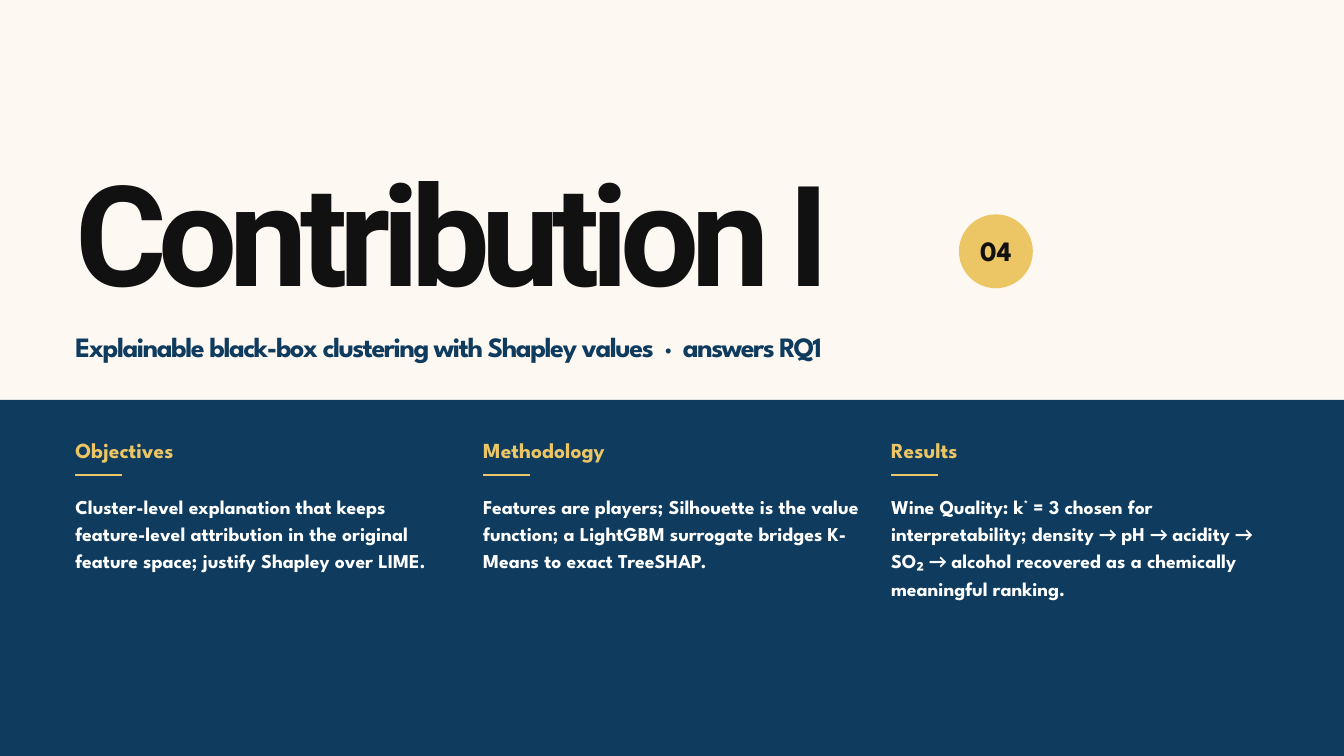
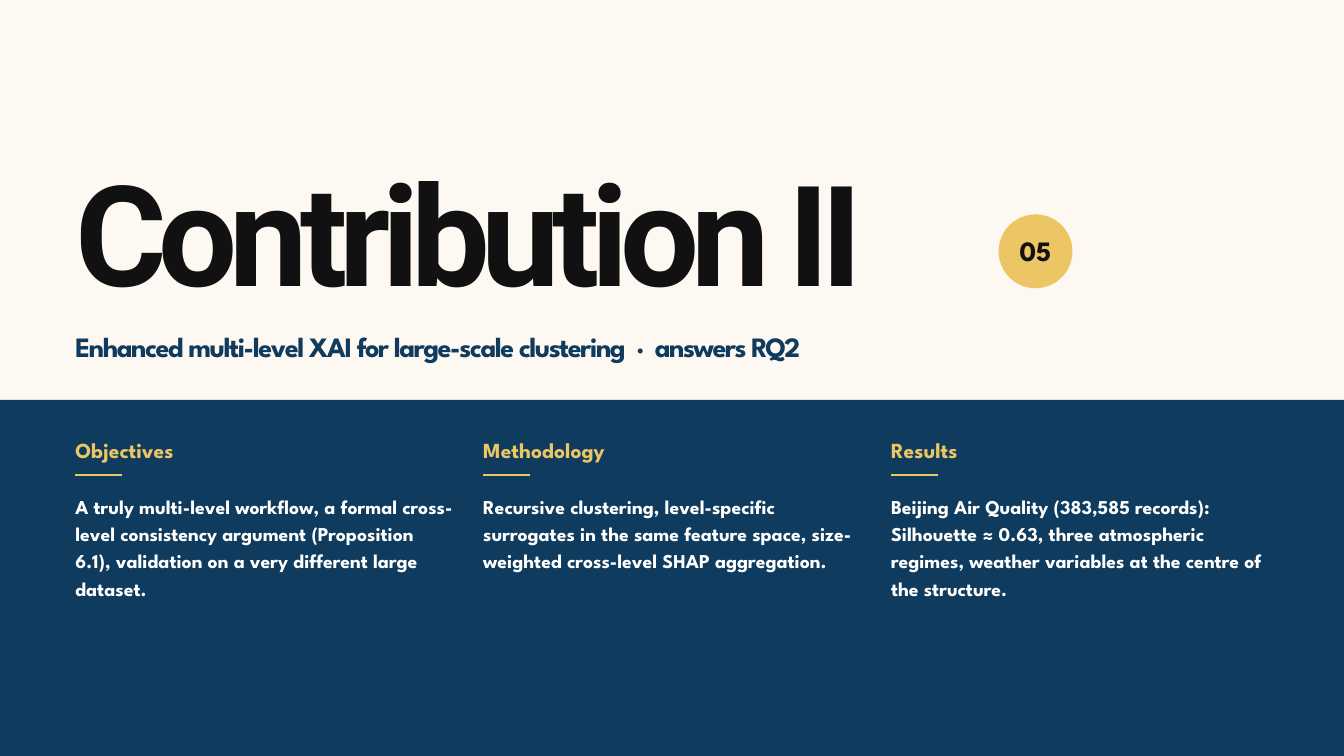
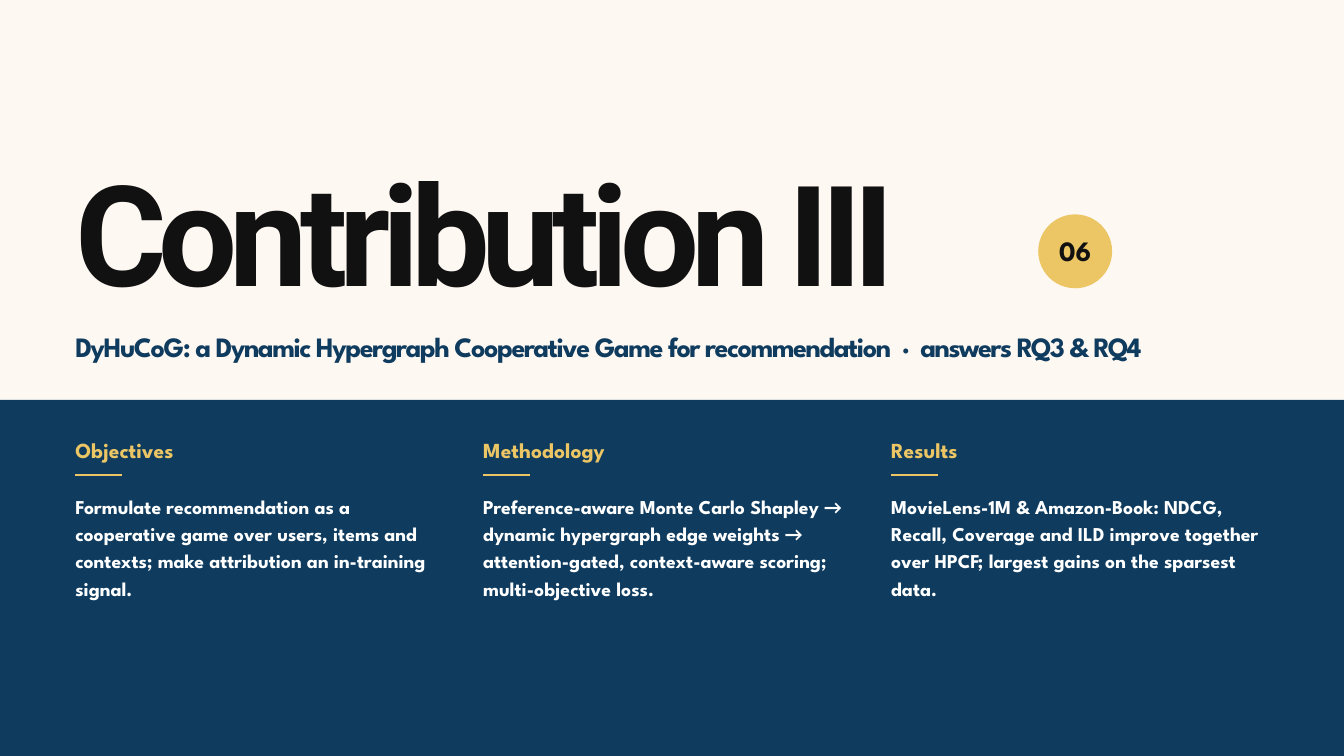
from dataclasses import dataclass

from lxml import etree
from pptx import Presentation
from pptx import util as u
from pptx.dml.color import RGBColor
from pptx.enum import shapes, text
from pptx.oxml import ns

WIDE, HIGH = u.Inches(20), u.Inches(11.25)
COLS, ROWS = 100, 90
LEFT, STEP, SPAN = 5.6, 30.35, 28.1
BAND = 47.6
HUES = {"cream": "FEF8F3", "ink": "111111", "navy": "0E3B5E", "gold": "ECC665", "white": "FFFFFF"}
HEADS = ("Objectives", "Methodology", "Results")


@dataclass(frozen=True)
class Style:
    size: float
    lead: float
    hue: str
    face: str = "League Spartan"
    track: float = 0
    align: text.PP_ALIGN = text.PP_ALIGN.LEFT


@dataclass(frozen=True)
class Bit:
    words: str
    face: str = ""
    lift: int = 0


@dataclass(frozen=True)
class Box:
    col: float
    row: float
    wide: float
    high: float

    def place(self) -> tuple[int, int, int, int]:
        return across(self.col), down(self.row), across(self.wide), down(self.high)


@dataclass(frozen=True)
class Part:
    title: str
    number: str
    topic: str
    bodies: tuple[tuple[Bit, ...], ...]


TITLE = Style(150, 153, "ink", "Roboto", -8.7)
BADGE = Style(30, 34, "ink", align=text.PP_ALIGN.CENTER)
TOPIC = Style(30, 38, "navy", track=-1.5)
HEAD = Style(23, 28, "gold")
BODY = Style(21, 29.4, "white")
ARROW = Bit("→ ", "Calibri")

PARTS = (
    Part("Contribution I", "04",
         "Explainable black-box clustering with Shapley values  ·  answers RQ1", (
             (Bit("Cluster-level explanation that keeps feature-level attribution in the "
                  "original feature space; justify Shapley over LIME."),),
             (Bit("Features are players; Silhouette is the value function; a LightGBM "
                  "surrogate bridges K-Means to exact TreeSHAP."),),
             (Bit("Wine Quality: k"), Bit("*", lift=30),
              Bit(" = 3 chosen for interpretability; density "), ARROW, Bit("pH "), ARROW,
              Bit("acidity "), ARROW, Bit("SO₂ "), ARROW,
              Bit("alcohol recovered as a chemically meaningful ranking.")))),
    Part("Contribution II", "05",
         "Enhanced multi-level XAI for large-scale clustering  ·  answers RQ2", (
             (Bit("A truly multi-level workflow, a formal cross-level consistency argument "
                  "(Proposition 6.1), validation on a very different large dataset."),),
             (Bit("Recursive clustering, level-specific surrogates in the same feature space, "
                  "size-weighted cross-level SHAP aggregation."),),
             (Bit("Beijing Air Quality (383,585 records): Silhouette ≈ 0.63, three atmospheric "
                  "regimes, weather variables at the centre of the structure."),))),
    Part("Contribution III", "06",
         "DyHuCoG: a Dynamic Hypergraph Cooperative Game for recommendation  ·  answers RQ3 & RQ4", (
             (Bit("Formulate recommendation as a cooperative game over users, items and contexts; "
                  "make attribution an in-training signal."),),
             (Bit("Preference-aware Monte Carlo Shapley "), ARROW,
              Bit("dynamic hypergraph edge weights "), ARROW,
              Bit("attention-gated, context-aware scoring; multi-objective loss.")),
             (Bit("MovieLens-1M & Amazon-Book: NDCG, Recall, Coverage and ILD improve together "
                  "over HPCF; largest gains on the sparsest data."),))),
)


def across(col: float) -> int:
    return round(WIDE * col / COLS)


def down(row: float) -> int:
    return round(HIGH * row / ROWS)


def tint(hue: str) -> RGBColor:
    return RGBColor.from_string(HUES[hue])


def write(shape, bits: tuple[Bit, ...], style: Style,
          anchor=text.MSO_ANCHOR.TOP, wrap: bool = True) -> None:
    frame = shape.text_frame
    frame.margin_left = frame.margin_top = frame.margin_right = frame.margin_bottom = 0
    frame.auto_size = text.MSO_AUTO_SIZE.NONE
    frame.word_wrap = wrap
    frame.vertical_anchor = anchor
    line = frame.paragraphs[0]
    line.alignment = style.align
    line.line_spacing = u.Pt(style.lead)
    for bit in bits:
        run = line.add_run()
        run.text = bit.words
        font = run.font
        font.name = bit.face or style.face
        font.size = u.Pt(style.size)
        font.bold = True
        font.color.rgb = tint(style.hue)
        props = run._r.get_or_add_rPr()
        if style.track:
            props.set("spc", str(round(style.track * 100)))
        if bit.lift:
            props.set("baseline", str(bit.lift * 1000))


def label(slide, box: Box, bits: tuple[Bit, ...], style: Style) -> None:
    write(slide.shapes.add_textbox(*box.place()), bits, style)


def solid(slide, kind: shapes.MSO_SHAPE, box: Box, hue: str):
    shape = slide.shapes.add_shape(kind, *box.place())
    shape.shadow.inherit = False
    shape.fill.solid()
    shape.fill.fore_color.rgb = tint(hue)
    shape.line.fill.background()
    return shape


def rule(slide, col: float, row: float, wide: float) -> None:
    line = slide.shapes.add_connector(
        shapes.MSO_CONNECTOR.STRAIGHT, across(col), down(row), across(col + wide), down(row))
    line.line.color.rgb = tint("gold")
    line.line.width = u.Pt(2.5)
    etree.SubElement(line._element.spPr, ns.qn("a:effectLst"))


def column(slide, col: float, head: str, body: tuple[Bit, ...]) -> None:
    label(slide, Box(col, 52, SPAN, 4), (Bit(head),), HEAD)
    rule(slide, col, 56.56, 3.5)
    label(slide, Box(col, 58.4, SPAN, 27.2), body, BODY)


def build(deck, order: int, part: Part) -> None:
    slide = deck.slides.add_slide(deck.slide_layouts.get_by_name("Title Only"))
    title = slide.shapes.title
    title.left, title.top, title.width, title.height = Box(LEFT, 20.4, 81.25, 20).place()
    write(title, (Bit(part.title),), TITLE)
    badge = solid(slide, shapes.MSO_SHAPE.OVAL,
                  Box(71.35 + 2.95 * order, 25.52, 5.5, 8.8), "gold")
    write(badge, (Bit(part.number),), BADGE, text.MSO_ANCHOR.MIDDLE, False)
    label(slide, Box(LEFT, 39.04, 88.75, 5.6), (Bit(part.topic),), TOPIC)
    solid(slide, shapes.MSO_SHAPE.RECTANGLE, Box(0, BAND, COLS, ROWS - BAND), "navy")
    for spot, (head, body) in enumerate(zip(HEADS, part.bodies)):
        column(slide, LEFT + STEP * spot, head, body)


def main() -> None:
    deck = Presentation()
    deck.slide_width, deck.slide_height = WIDE, HIGH
    back = deck.slide_master.background.fill
    back.solid()
    back.fore_color.rgb = tint("cream")
    for order, part in enumerate(PARTS):
        build(deck, order, part)
    deck.save("out.pptx")


if __name__ == "__main__":
    main()
